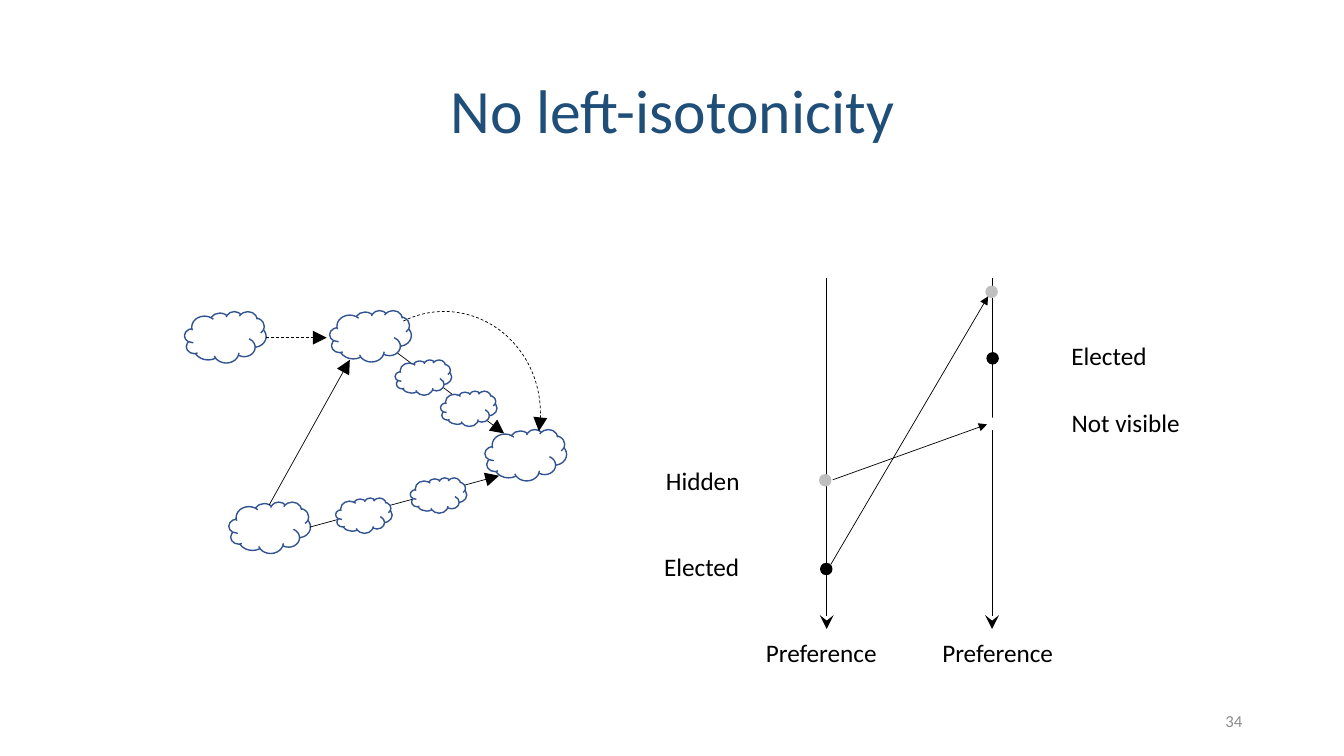
from pptx import Presentation
from pptx.dml.color import RGBColor
from pptx.enum.dml import MSO_LINE
from pptx.enum.shapes import MSO_CONNECTOR, MSO_SHAPE
from pptx.enum.text import MSO_ANCHOR, MSO_AUTO_SIZE, PP_ALIGN
from pptx.oxml.ns import qn
from pptx.util import Inches, Pt
from lxml import etree

CLOUD, ARC, OVAL, RECT = MSO_SHAPE.CLOUD, MSO_SHAPE.ARC, MSO_SHAPE.OVAL, MSO_SHAPE.RECTANGLE
STRAIGHT, DASH = MSO_CONNECTOR.STRAIGHT, MSO_LINE.DASH
MIDDLE, TOP = MSO_ANCHOR.MIDDLE, MSO_ANCHOR.TOP
CENTER, RIGHT = PP_ALIGN.CENTER, PP_ALIGN.RIGHT
FIT_SHAPE, NO_FIT = MSO_AUTO_SIZE.SHAPE_TO_FIT_TEXT, MSO_AUTO_SIZE.NONE

BLACK, WHITE, GREY, BLUE = "000000", "FFFFFF", "BFBFBF", "325491"
LARGE_CLOUD, SMALL_CLOUD = (0.81, 0.51), (0.56, 0.35)
DOT = 0.11


def rgb(color):
    return RGBColor.from_string(color)


class Slide:
    font = "Calibri"

    def __init__(self, prs):
        self.s = prs.slides.add_slide(prs.slide_layouts[5])

    def add_text(self, tf, text, size, color, align, anchor):
        tf.vertical_anchor = anchor
        p = tf.paragraphs[0]
        p.alignment = align
        r = p.add_run()
        r.text = text
        r.font.name = self.font
        r.font.size = Pt(size)
        r.font.color.rgb = rgb(color)
        return p

    def title(self, text, x, y, w, h):
        sp = self.s.shapes.title
        sp.left, sp.top, sp.width, sp.height = map(Inches, (x, y, w, h))
        sp.text_frame.auto_size = NO_FIT
        p = self.add_text(sp.text_frame, text, 44, "1F4E79", CENTER, MIDDLE)
        p.line_spacing = 0.9

    def number(self, text, x, y, w, h):
        sp = self.s.shapes.add_textbox(*map(Inches, (x, y, w, h)))
        sp.text_frame.word_wrap = True
        self.add_text(sp.text_frame, text, 12, "8C8C8C", RIGHT, MIDDLE)

    def label(self, text, x, y, w, filled=False):
        box = [Inches(v) for v in (x, y, w, 0.4)]
        if filled:
            sp = self.s.shapes.add_shape(RECT, *box)
            sp.shadow.inherit = False
            sp.fill.solid()
            sp.fill.fore_color.rgb = rgb(WHITE)
            sp.line.fill.background()
        else:
            sp = self.s.shapes.add_textbox(*box)
        tf = sp.text_frame
        tf.word_wrap = False
        tf.auto_size = FIT_SHAPE
        self.add_text(tf, text, 18, BLACK, CENTER, TOP)

    def shape(self, kind, x, y, w, h, fill, line):
        sp = self.s.shapes.add_shape(kind, *map(Inches, (x, y, w, h)))
        sp.shadow.inherit = False
        sp.fill.solid()
        sp.fill.fore_color.rgb = rgb(fill)
        sp.line.color.rgb = rgb(line)
        sp.line.width = Pt(1)

    def cloud(self, x, y, size):
        self.shape(CLOUD, x, y, *size, WHITE, BLUE)

    def dot(self, x, y, color):
        self.shape(OVAL, x, y, DOT, DOT, color, color)

    def stroke(self, sp, head, size, dashed):
        sp.line.color.rgb = rgb(BLACK)
        sp.line.width = Pt(0.5)
        if dashed:
            sp.line.dash_style = DASH
        ln = sp._element.spPr.find(qn("a:ln"))
        etree.SubElement(ln, qn("a:tailEnd"), type=head, w=size, len=size)

    def arrow(self, x1, y1, x2, y2, head="triangle", size="lg", dashed=False):
        c = self.s.shapes.add_connector(STRAIGHT, *map(Inches, (x1, y1, x2, y2)))
        self.stroke(c, head, size, dashed)
        etree.SubElement(c._element.spPr, qn("a:effectLst"))

    def arc(self, x, y, w, h, start, end):
        sp = self.s.shapes.add_shape(ARC, *map(Inches, (x, y, w, h)))
        sp.shadow.inherit = False
        sp.adjustments[0], sp.adjustments[1] = start, end
        sp.fill.background()
        self.stroke(sp, "triangle", "lg", True)


def main():
    prs = Presentation()
    prs.slide_width, prs.slide_height = Inches(13.33), Inches(7.5)
    s = Slide(prs)
    s.title("No left-isotonicity", 0.92, 0.4, 11.5, 1.45)
    s.number("34", 9.42, 6.95, 3, 0.4)

    s.arrow(3.94, 3.5, 5, 4.3)
    for x, y in [(3.27, 3.08), (2.27, 4.98), (4.81, 4.26), (1.83, 3.09)]:
        s.cloud(x, y, LARGE_CLOUD)
    s.arrow(2.67, 5.01, 3.47, 3.57)
    s.arrow(3.07, 5.23, 4.95, 4.72)
    s.arc(3.45, 3.09, 1.91, 2.02, 147.68, 6.45)
    for x, y in [(3.33, 4.94), (4.07, 4.74), (3.92, 3.57), (4.37, 3.88)]:
        s.cloud(x, y, SMALL_CLOUD)
    s.arrow(2.64, 3.35, 3.24, 3.35, dashed=True)

    for axis_x, label_x in [(9.84, 9.24), (8.2, 7.49)]:
        s.arrow(axis_x, 2.76, axis_x, 6.24, head="stealth")
        s.label("Preference", label_x, 6.27, 1.31, filled=True)
    for x, y, color in [(8.13, 4.71, GREY), (8.14, 5.59, BLACK), (9.79, 3.5, BLACK),
                        (9.79, 4.15, WHITE), (9.78, 2.84, GREY)]:
        s.dot(x, y, color)
    s.arrow(8.24, 5.6, 9.8, 2.94, size="med")
    for text, x, y, w in [("Elected", 6.48, 5.42, 0.96), ("Elected", 10.52, 3.33, 0.96),
                          ("Not visible", 10.52, 3.99, 1.29), ("Hidden", 6.5, 4.57, 0.94)]:
        s.label(text, x, y, w)
    s.arrow(8.26, 4.76, 9.79, 4.21, size="med")
    prs.save("out.pptx")


if __name__ == "__main__":
    main()
